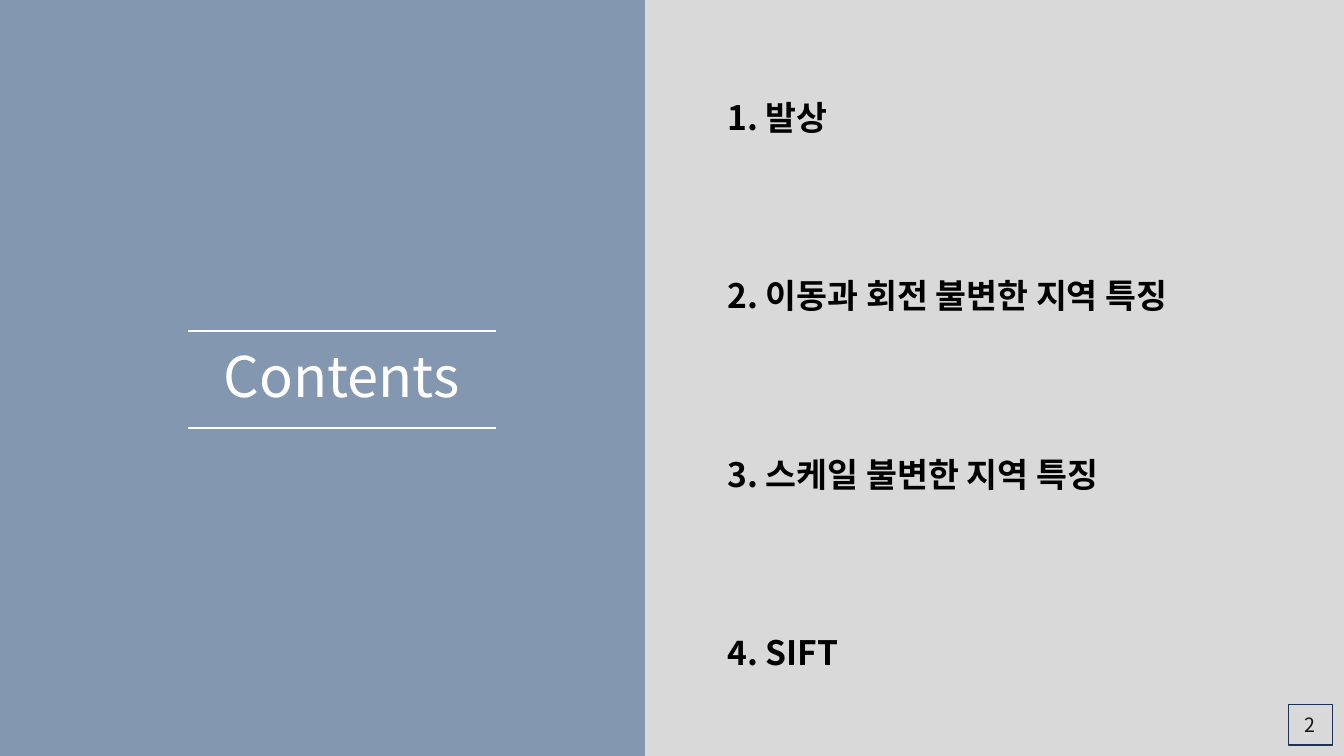
from lxml import etree
from pptx import Presentation
from pptx import util as u
from pptx.dml.color import RGBColor
from pptx.enum import shapes, text
from pptx.oxml.ns import qn

Pt = u.Pt
FONT = "Noto Sans CJK KR"
COLORS = {
    "title panel": "8497B0",
    "list panel": "D9D9D9",
    "white": "FFFFFF",
    "black": "000000",
    "number": "181717",
    "number border": "1E3256",
}
# Wording and box width of each entry
ENTRIES = [
    ("1. 발상", 324),
    ("2. 이동과 회전 불변한 지역 특징", 407.5),
    ("3. 스케일 불변한 지역 특징", 416),
    ("4. SIFT", 324),
]


def color(name):
    return RGBColor.from_string(COLORS[name])


def write(shape, wording, size, ink, bold=False, align=text.PP_ALIGN.LEFT,
          anchor=text.MSO_ANCHOR.TOP):
    frame = shape.text_frame
    frame.word_wrap = True
    frame.auto_size = text.MSO_AUTO_SIZE.NONE
    frame.vertical_anchor = anchor
    paragraph = frame.paragraphs[0]
    paragraph.alignment = align
    run = paragraph.add_run()
    run.text = wording
    run.font.size = Pt(size)
    run.font.bold = bold
    run.font.name = FONT
    run.font.color.rgb = color(ink)
    # Korean letters take the East Asian font
    etree.SubElement(run.font._element, qn("a:ea"), typeface=FONT)


def add_box(slide, left, top, width, height, fill=None, border=None):
    shape = slide.shapes.add_shape(shapes.MSO_SHAPE.RECTANGLE, Pt(left), Pt(top),
                                   Pt(width), Pt(height))
    shape.shadow.inherit = False
    if fill:
        shape.fill.solid()
        shape.fill.fore_color.rgb = color(fill)
    else:
        shape.fill.background()
    if border:
        shape.line.color.rgb = color(border)
        shape.line.width = Pt(1)
    else:
        shape.line.fill.background()
    return shape


def add_rule(slide, left, right, y):
    rule = slide.shapes.add_connector(shapes.MSO_CONNECTOR.STRAIGHT,
                                      Pt(left), Pt(y), Pt(right), Pt(y))
    rule.line.color.rgb = color("white")
    rule.line.width = Pt(1.5)
    etree.SubElement(rule._element.spPr, qn("a:effectLst"))


def add_title_panel(slide, left, top, width, height):
    panel = add_box(slide, left, top, width, height, fill="title panel")
    # Title, brought in front of its panel
    title = slide.shapes.title
    title.left, title.top = Pt(left + 144.7), Pt(top + 240.5)
    title.width, title.height = Pt(198.7), Pt(55.4)
    write(title, "Contents", 40, "white", align=text.PP_ALIGN.CENTER)
    panel._element.addnext(title._element)
    # Rules above and below the title
    for y in (236.2, 306):
        add_rule(slide, left + 134, left + 354.2, top + y)


def add_list_panel(slide, left, top, width, height):
    add_box(slide, left, top, width, height, fill="list panel")
    # Entries at an even pitch
    for index, (wording, entry_width) in enumerate(ENTRIES):
        entry = slide.shapes.add_textbox(Pt(left + 51.8), Pt(top + 65.5 + 127.45 * index),
                                         Pt(entry_width), Pt(36))
        write(entry, wording, 24, "black", bold=True)


def add_page_number(slide, left, top, width, height):
    box = add_box(slide, left, top, width, height, border="number border")
    write(box, "2", 14, "number", align=text.PP_ALIGN.CENTER,
          anchor=text.MSO_ANCHOR.MIDDLE)


def main():
    presentation = Presentation()
    presentation.slide_width, presentation.slide_height = Pt(960), Pt(540)
    slide = presentation.slides.add_slide(presentation.slide_layouts[5])
    add_title_panel(slide, 0, 0, 497.5, 540)
    add_list_panel(slide, 460.8, 0, 499.2, 540)
    add_page_number(slide, 920.2, 503.3, 31.7, 28.8)
    presentation.save("out.pptx")


if __name__ == "__main__":
    main()
